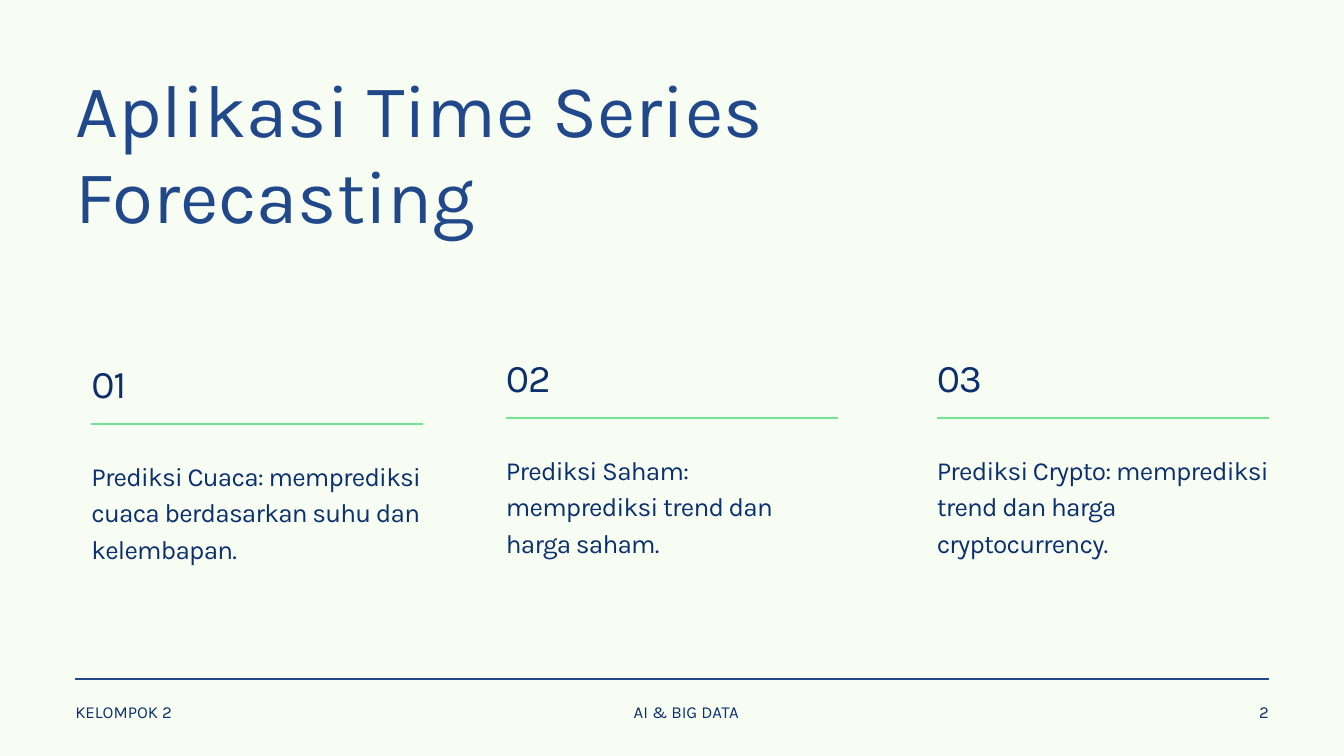
"""Build the slide on applications of time series forecasting."""
from lxml.etree import SubElement
from pptx import Presentation
from pptx.dml.color import RGBColor
from pptx.enum.shapes import MSO_CONNECTOR
from pptx.enum.text import MSO_AUTO_SIZE, PP_ALIGN
from pptx.oxml.ns import qn
from pptx.util import Inches, Pt

CREAM = RGBColor(0xF7, 0xFD, 0xF2)
BLUE = RGBColor(0x21, 0x48, 0x8A)
NAVY = RGBColor(0x0C, 0x30, 0x6D)
GREEN = RGBColor(0x73, 0xE4, 0x91)

WIDTH, HEIGHT = 20, 11.25
MARGIN = 1.12
COLUMN_WIDTH = 4.94

TITLE = "Aplikasi Time Series Forecasting"
COLUMNS = [
    (1.36, 5.23, "Prediksi Cuaca: memprediksi cuaca berdasarkan suhu dan kelembapan."),
    (7.53, 5.14, "Prediksi Saham: memprediksi trend dan harga saham."),
    (13.94, 5.14, "Prediksi Crypto: memprediksi trend dan harga cryptocurrency."),
]
FOOTER = [
    (MARGIN, "KELOMPOK 2", PP_ALIGN.LEFT),
    (9.43, "AI & BIG DATA", PP_ALIGN.LEFT),
    (WIDTH - MARGIN - 3.85, "2", PP_ALIGN.RIGHT),
]
STYLES = {
    "title": {"size": 80, "leading": 92, "color": BLUE, "spacing": 0},
    "number": {"size": 42, "leading": 58.8, "color": NAVY, "spacing": -1.3},
    "body": {"size": 28, "leading": 39.2, "color": NAVY, "spacing": -0.8},
    "footer": {"size": 18, "leading": 25.2, "color": NAVY, "spacing": 0},
}


def add_text(s, box, text, style, align=PP_ALIGN.LEFT):
    fmt = STYLES[style]
    tf = s.shapes.add_textbox(*map(Inches, box)).text_frame
    frame = {"word_wrap": True, "auto_size": MSO_AUTO_SIZE.SHAPE_TO_FIT_TEXT}
    frame.update({f"margin_{side}": 0 for side in ("left", "top", "right", "bottom")})
    for name, value in frame.items():
        setattr(tf, name, value)
    p = tf.paragraphs[0]
    p.alignment, p.line_spacing = align, Pt(fmt["leading"])
    r = p.add_run()
    r.text = text
    for name, value in {"name": "Karla", "size": Pt(fmt["size"])}.items():
        setattr(r.font, name, value)
    r.font.color.rgb = fmt["color"]
    if fmt["spacing"]:
        r.font._element.set("spc", str(round(fmt["spacing"] * 100)))


def add_rule(s, left, right, y, color, weight):
    sp = s.shapes.add_connector(
        MSO_CONNECTOR.STRAIGHT, Inches(left), Inches(y), Inches(right), Inches(y))
    sp.line.color.rgb = color
    sp.line.width = Pt(weight)
    SubElement(sp._element.spPr, qn("a:effectLst"))


def main():
    prs = Presentation()
    prs.slide_width, prs.slide_height = Inches(WIDTH), Inches(HEIGHT)
    s = prs.slides.add_slide(prs.slide_layouts[6])
    s.background.fill.solid()
    s.background.fill.fore_color.rgb = CREAM

    add_text(s, (MARGIN, 0.99, 11.19, 2.73), TITLE, "title")
    for i, (x, y, text) in enumerate(COLUMNS, 1):
        add_text(s, (x, y, COLUMN_WIDTH / 2, 0.87), f"{i:02}", "number")
        add_rule(s, x, x + COLUMN_WIDTH, y + 1.08, GREEN, 1.5)
        add_text(s, (x, y + 1.54, COLUMN_WIDTH, 1.67), text, "body")

    add_rule(s, MARGIN, WIDTH - MARGIN, 10.11, BLUE, 2)
    for x, text, align in FOOTER:
        add_text(s, (x, 10.39, 3.85, 0.36), text, "footer", align)
    prs.save("out.pptx")


if __name__ == "__main__":
    main()
